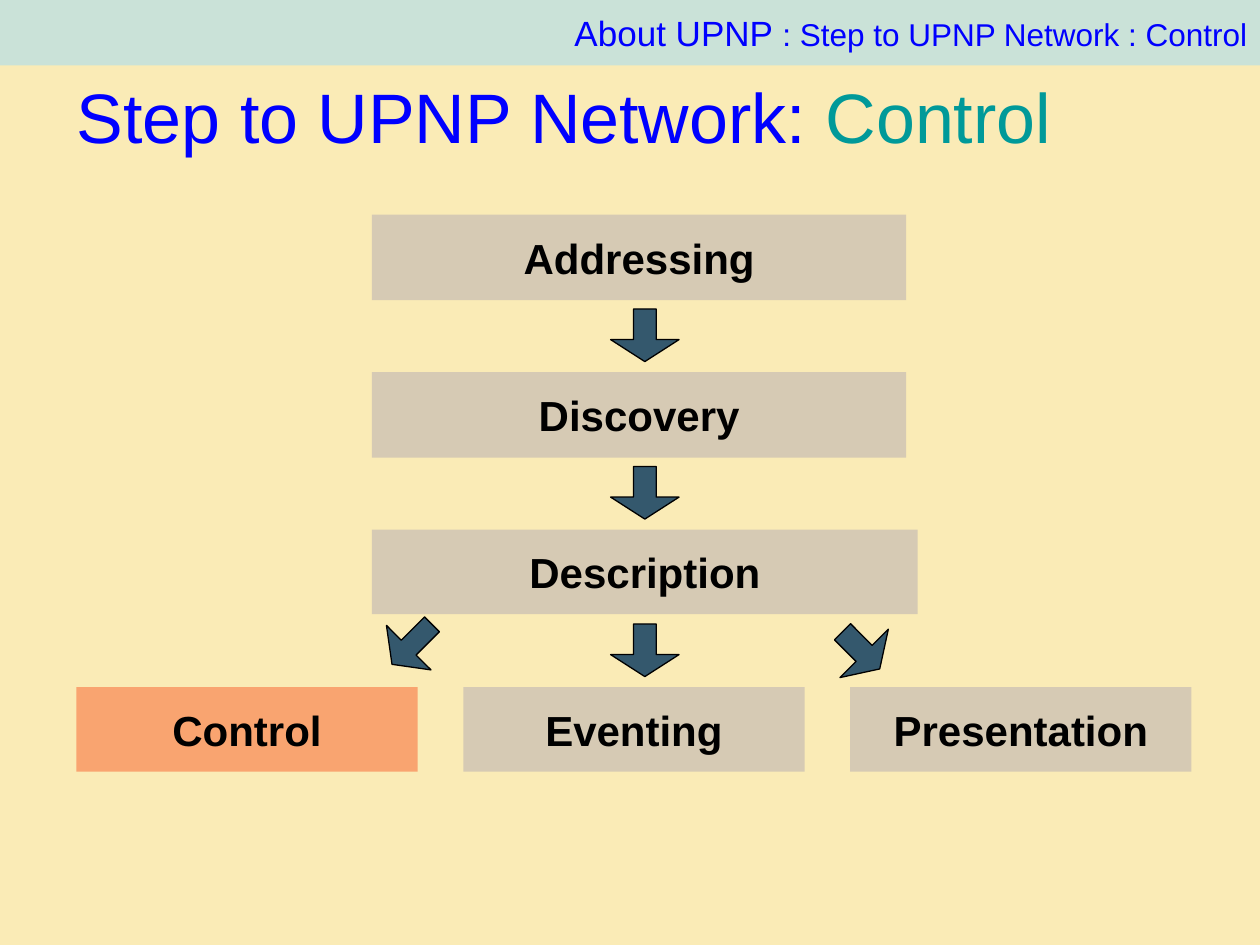
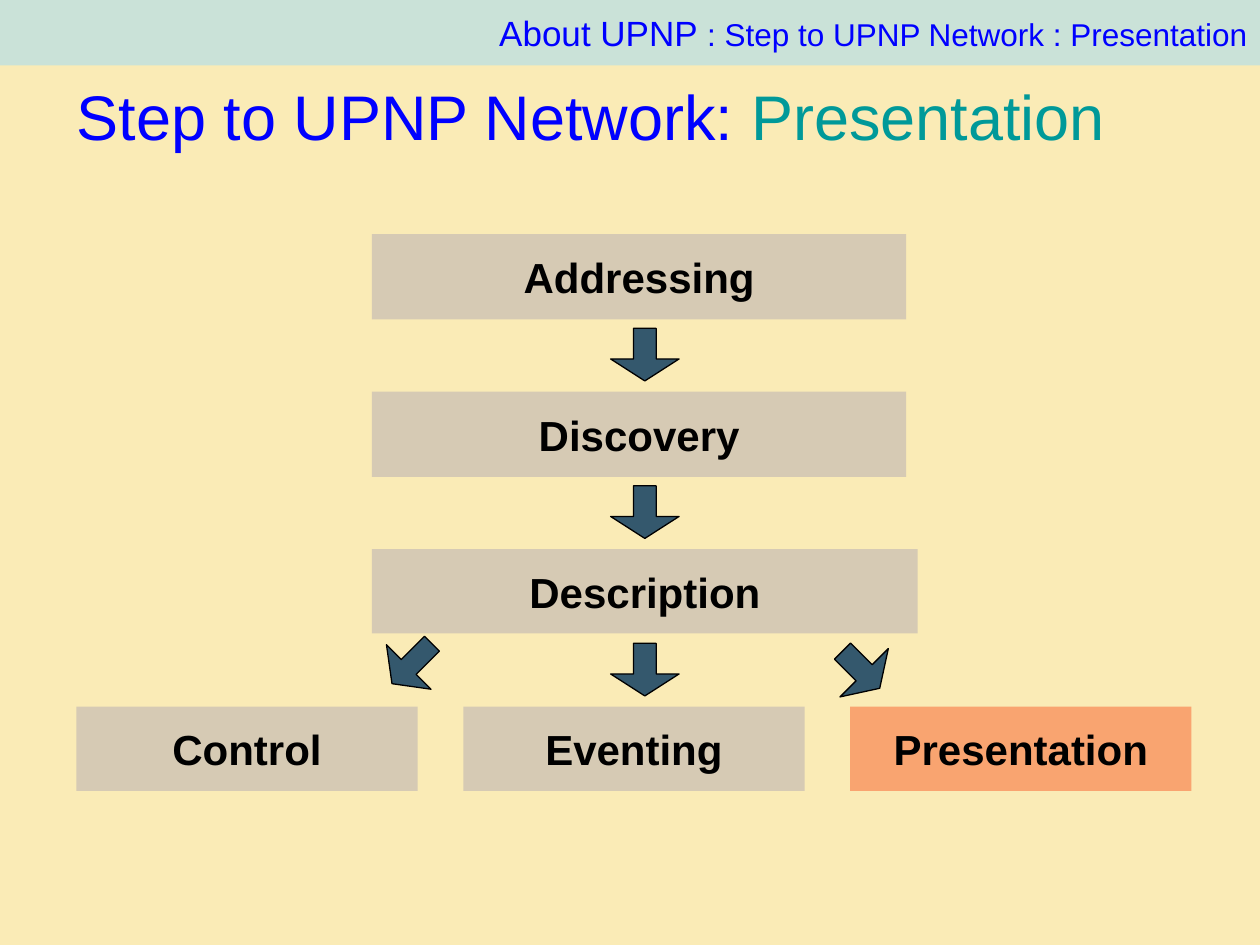
from pptx import Presentation
from pptx import util as u
from pptx.dml.color import RGBColor
from pptx.enum import shapes, text
from pptx.oxml import parse_xml
from pptx.oxml.ns import nsdecls

BLUE, TEAL, BLACK = "0000FF", "009999", "000000"
SAND, BAND, BOX, ACTIVE, ARROW = "FAEBB6", "BBE0E3", "D6CAB4", "F9A470", "34586D"
STEP = 3.175
MAIN_STEPS = [("Addressing", 10.77, 1.72), ("Discovery", 10.77, 1.72), ("Description", 11, 1.7)]
FINAL_STEPS = ["Control", "Eventing", "Presentation"]


def rgb(value):
    return RGBColor.from_string(value)


def write(sp, *runs, align=text.PP_ALIGN.LEFT, font="Arial", bold=False):
    tf = sp.text_frame
    tf.word_wrap = True
    tf.vertical_anchor = text.MSO_ANCHOR.MIDDLE
    p = tf.paragraphs[0]
    p.alignment = align
    for words, size, color in runs:
        r = p.add_run()
        r.text = words
        r.font.name = font
        r.font.size = u.Pt(size)
        r.font.bold = bold
        r.font.color.rgb = rgb(color)


class Deck:
    def __init__(self):
        self.prs = Presentation()
        self.prs.slide_width = u.Cm(25.4)
        self.prs.slide_height = u.Cm(19.05)
        self.s = None

    def slide(self, topic, title_size):
        self.s = self.prs.slides.add_slide(self.prs.slide_layouts[6])
        fill = self.s.background.fill
        fill.solid()
        fill.fore_color.rgb = rgb(SAND)
        self.title(topic, title_size)
        self.band(topic)

    def shape(self, kind, left, top, width, height, color, line=None):
        sp = self.s.shapes.add_shape(kind, u.Cm(left), u.Cm(top), u.Cm(width), u.Cm(height))
        sp.shadow.inherit = False
        sp.fill.solid()
        sp.fill.fore_color.rgb = rgb(color)
        if line:
            sp.line.color.rgb = rgb(line)
            sp.line.width = u.Pt(0.75)
        else:
            sp.line.fill.background()
        return sp

    def title(self, topic, size):
        sp = self.s.shapes.add_textbox(u.Cm(1.3), u.Cm(1.73), u.Cm(22.86), u.Cm(1.2))
        write(sp, ("Step to UPNP Network: ", size, BLUE), (topic, size, TEAL))

    def band(self, topic):
        sp = self.shape(shapes.MSO_SHAPE.RECTANGLE, 0, 0, 25.4, 1.32, BAND)
        color = sp.fill._xPr.solidFill[0]
        color.append(parse_xml(f'<a:alpha {nsdecls("a")} val="76000"/>'))
        write(sp, ("About UPNP ", 20, BLUE), (f": Step to UPNP Network : {topic}", 18, BLUE),
              align=text.PP_ALIGN.RIGHT)

    def box(self, label, left, top, width, height, active=False):
        sp = self.shape(shapes.MSO_SHAPE.RECTANGLE, left, top, width, height,
                        ACTIVE if active else BOX)
        write(sp, (label, 24, BLACK), align=text.PP_ALIGN.CENTER, bold=True)

    def arrow(self, left, top, width=1.38, height=1.06, rotation=0):
        sp = self.shape(shapes.MSO_SHAPE.DOWN_ARROW, left, top, width, height, ARROW, BLACK)
        sp.adjustments[0] = 0.333
        sp.adjustments[1] = 0.417
        sp.rotation = rotation

    def step_diagram(self, topic, top):
        for i, (label, width, height) in enumerate(MAIN_STEPS):
            self.box(label, 7.5, top + i * STEP, width, height)
            self.arrow(12.31, top + i * STEP + 1.9)
        for i, label in enumerate(FINAL_STEPS):
            self.box(label, 1.54 + i * 7.8, top + 3 * STEP, 6.88, 1.7, label == topic)
        branch = top + 2 * STEP
        self.arrow(16.67, branch + 1.9, rotation=315)
        self.arrow(7.67, branch + 1.74, 1.27, 1.14, rotation=45)


def main():
    deck = Deck()
    for topic, title_size, top in [("Control", 40, 4.33), ("Presentation", 36, 4.72)]:
        deck.slide(topic, title_size)
        deck.step_diagram(topic, top)
    deck.prs.save("out.pptx")


if __name__ == "__main__":
    main()
